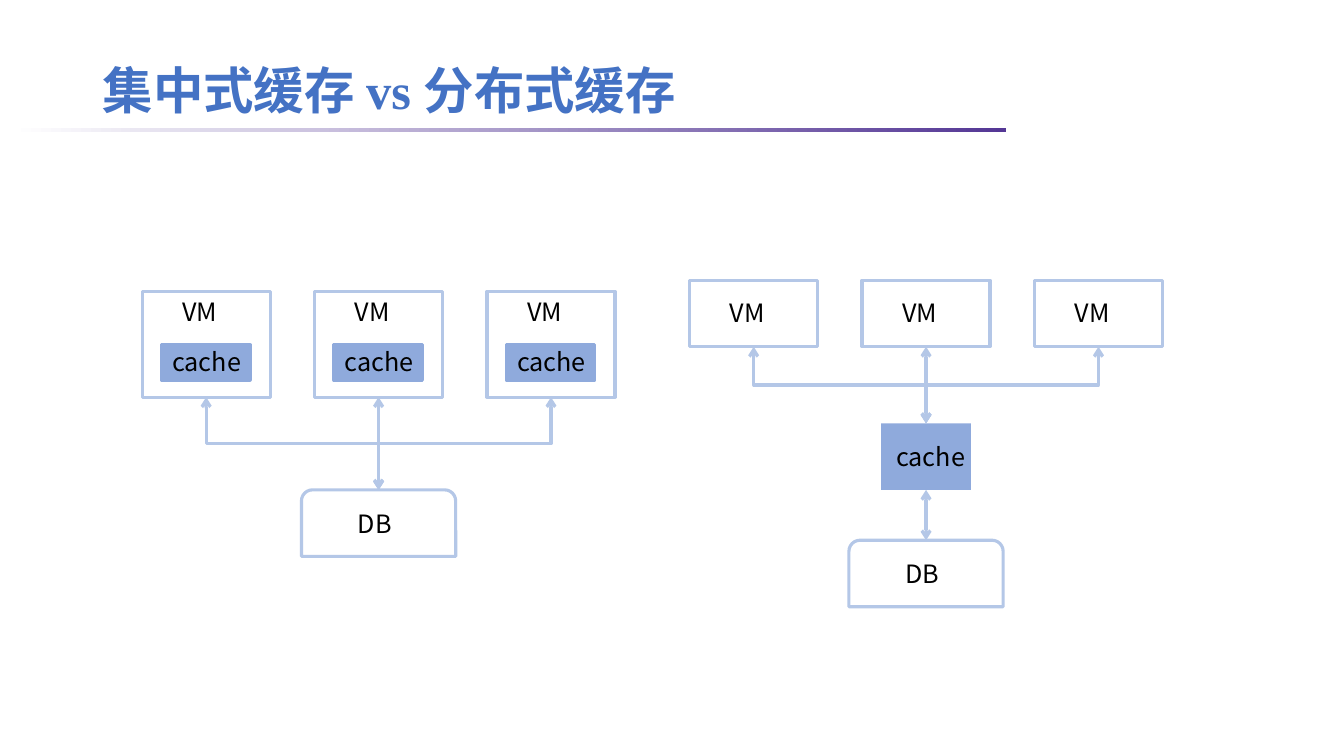
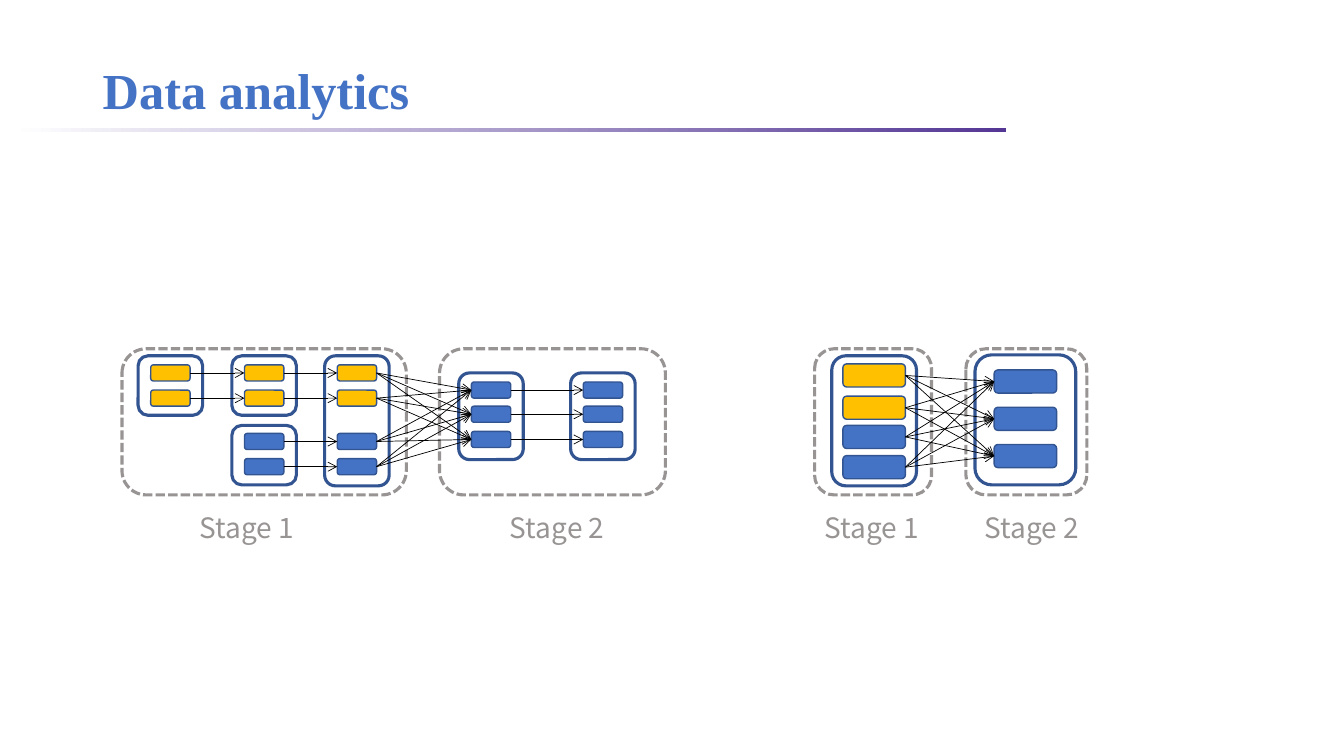
from dataclasses import dataclass
from itertools import chain, product

from lxml import etree
from pptx import Presentation
from pptx import util as u
from pptx.dml import color
from pptx.enum import dml, shapes, text
from pptx.oxml import ns

COLORS = {
    "title": "4472C4",
    "band_start": "FFFFFF",
    "band_end": "543795",
    "outline": "B4C7E7",
    "cache": "8FAADC",
    "stage": "989494",
    "group": "325491",
    "blue": "4472C4",
    "orange": "FFC000",
    "white": "FFFFFF",
    "black": "000000",
}
BODY_FONT = "Noto Sans CJK SC"
TITLE_FONT = "Times New Roman"
TOP, LEFT, BOTTOM, RIGHT = range(4)
SHAPE = shapes.MSO_SHAPE
VM_WIDTH, VM_PITCH = 1.27, 1.71
BOX_HEIGHT = 0.66


@dataclass
class Stage:
    name: str
    left: float
    width: float
    label_left: float


@dataclass
class Group:
    left: float
    top: float
    width: float
    height: float
    orange_tops: tuple[float, ...] = ()
    blue_tops: tuple[float, ...] = ()


def rgb(name: str) -> color.RGBColor:
    return color.RGBColor.from_string(COLORS[name])


def add_text(slide, content: str, left: float, top: float, width: float, height: float, *,
             size: float = 18, font: str = BODY_FONT, fill: str = "black",
             bold: bool = False, spacing: float = 1.0, anchor=text.MSO_ANCHOR.TOP):
    shape = slide.shapes.add_textbox(*map(u.Inches, (left, top, width, height)))
    frame = shape.text_frame
    frame.word_wrap = True
    frame.vertical_anchor = anchor
    paragraph = frame.paragraphs[0]
    paragraph.line_spacing = spacing
    run = paragraph.add_run()
    run.text = content
    run.font.size = u.Pt(size)
    run.font.name = font
    run.font.bold = bold
    run.font.color.rgb = rgb(fill)
    east_asian = etree.SubElement(run.font._element, ns.qn("a:ea"))
    east_asian.set("typeface", BODY_FONT)
    return shape


def add_box(slide, kind, left: float, top: float, width: float, height: float, *,
            fill: str | None = None, line: str | None = None,
            line_width: float = 2.25, dashed: bool = False):
    shape = slide.shapes.add_shape(kind, *map(u.Inches, (left, top, width, height)))
    shape.shadow.inherit = False
    if fill:
        shape.fill.solid()
        shape.fill.fore_color.rgb = rgb(fill)
    else:
        shape.fill.background()
    if line:
        shape.line.color.rgb = rgb(line)
        shape.line.width = u.Pt(line_width)
    else:
        shape.line.fill.background()
    if dashed:
        shape.line.dash_style = dml.MSO_LINE.SQUARE_DOT
    return shape


def style_connector(connector, line: str, width: float, ends: tuple[str, ...]) -> None:
    connector.line.color.rgb = rgb(line)
    connector.line.width = u.Pt(width)
    line_element = connector.line._get_or_add_ln()
    for end in ends:
        etree.SubElement(line_element, ns.qn(f"a:{end}")).set("type", "arrow")
    etree.SubElement(connector._element.spPr, ns.qn("a:effectLst"))


def add_task_arrow(slide, source, target) -> None:
    connector = slide.shapes.add_connector(shapes.MSO_CONNECTOR.STRAIGHT, 0, 0, 0, 0)
    connector.begin_connect(source, RIGHT)
    connector.end_connect(target, LEFT)
    style_connector(connector, "black", 0.5, ("tailEnd",))


def add_double_arrow(slide, upper, lower) -> None:
    """Join the bottom of one box to the top of another, with an elbow if they are offset."""
    begin_x = upper.left + upper.width // 2
    begin_y = upper.top + upper.height
    end_x = lower.left + lower.width // 2
    aligned = abs(end_x - begin_x) < u.Inches(0.01)
    kind = shapes.MSO_CONNECTOR.STRAIGHT if aligned else shapes.MSO_CONNECTOR.ELBOW
    connector = slide.shapes.add_connector(kind, begin_x, begin_y, end_x, lower.top)
    if aligned:
        connector.begin_connect(upper, BOTTOM)
        if lower.auto_shape_type == SHAPE.RECTANGLE:
            connector.end_connect(lower, TOP)
    else:
        # A quarter turn makes the elbow leave vertically.
        across, down = abs(end_x - begin_x), lower.top - begin_y
        connector.left = (begin_x + end_x - down) // 2
        connector.top = (begin_y + lower.top - across) // 2
        connector.width, connector.height = down, across
        transform = connector._element.spPr.find(ns.qn("a:xfrm"))
        transform.set("rot", "5400000")
        transform.set("flipH", "0")
        transform.set("flipV", "1" if begin_x < end_x else "0")
    style_connector(connector, "outline", 2.25, ("headEnd", "tailEnd"))


def add_titled_slide(presentation, title: str):
    slide = presentation.slides.add_slide(presentation.slide_layouts[6])
    band = add_box(slide, SHAPE.RECTANGLE, 0.11, 1.27, 9.87, 0.04)
    band.fill.gradient()
    band.fill.gradient_angle = 0
    for stop, name in zip(band.fill.gradient_stops, ("band_start", "band_end")):
        stop.color.rgb = rgb(name)
    add_text(slide, title, 0.92, 0.4, 11.5, 0.85, size=36, font=TITLE_FONT, fill="title",
             bold=True, spacing=1.2, anchor=text.MSO_ANCHOR.MIDDLE)
    return slide


def add_vms(slide, left: float, top: float, height: float, label_top: float,
            with_cache: bool = False) -> list:
    machines = []
    for index in range(3):
        x = left + index * VM_PITCH
        machines.append(add_box(slide, SHAPE.RECTANGLE, x, top, VM_WIDTH, height,
                                line="outline"))
        add_text(slide, "VM", x + 0.3, label_top, 0.68, 0.4)
        if with_cache:
            add_box(slide, SHAPE.RECTANGLE, x + 0.19, top + 0.53, 0.88, 0.35,
                    fill="cache", line="cache")
            add_text(slide, "cache", x + 0.2, top + 0.5, 0.97, 0.4)
    return machines


def add_database(slide, left: float, top: float):
    shape = add_box(slide, SHAPE.ROUND_2_SAME_RECTANGLE, left, top, 1.53, BOX_HEIGHT,
                    line="outline")
    add_text(slide, "DB", left + 0.46, top + 0.13, 0.6, 0.4)
    return shape


def add_stage(slide, stage: Stage) -> None:
    add_box(slide, SHAPE.ROUNDED_RECTANGLE, stage.left, 3.46, stage.width, 1.45,
            fill="white", line="stage", dashed=True)
    add_text(slide, stage.name, stage.label_left, 5.02, 1.23, 0.44, size=20, fill="stage")


def add_group(slide, group: Group, task_width: float, task_height: float) -> list:
    """Draw a group with its centred tasks and return the tasks from top to bottom."""
    add_box(slide, SHAPE.ROUNDED_RECTANGLE, group.left, group.top, group.width, group.height,
            fill="white", line="group")
    task_left = group.left + (group.width - task_width) / 2
    tasks = chain(product(group.orange_tops, ["orange"]), product(group.blue_tops, ["blue"]))
    return [add_box(slide, SHAPE.ROUNDED_RECTANGLE, task_left, top, task_width, task_height,
                    fill=fill, line="group", line_width=1) for top, fill in tasks]


def build_cache_slide(presentation) -> None:
    slide = add_titled_slide(presentation, "集中式缓存 vs 分布式缓存")

    machines = add_vms(slide, 1.41, 2.89, 1.05, 2.89, with_cache=True)
    database = add_database(slide, 2.99, 4.86)
    for machine in machines:
        add_double_arrow(slide, machine, database)

    machines = add_vms(slide, 6.84, 2.78, BOX_HEIGHT, 2.9)
    cache = add_box(slide, SHAPE.RECTANGLE, 8.74, 4.2, 0.89, BOX_HEIGHT, fill="cache")
    add_text(slide, "cache", 8.79, 4.33, 1.02, 0.4)
    database = add_database(slide, 8.42, 5.36)
    for machine in machines:
        add_double_arrow(slide, machine, cache)
    add_double_arrow(slide, cache, database)


def build_analytics_slide(presentation) -> None:
    slide = add_titled_slide(presentation, "Data analytics")
    for stage in (
        Stage("Stage 1", 1.21, 2.82, 1.88),
        Stage("Stage 2", 4.36, 2.24, 4.96),
        Stage("Stage 1", 8.08, 1.16, 8.08),
        Stage("Stage 2", 9.58, 1.2, 9.67),
    ):
        add_stage(slide, stage)

    upper, lower, final = (3.62, 3.87), (4.3, 4.55), (3.79, 4.03, 4.28)
    groups = (
        Group(1.37, 3.53, 0.64, 0.59, upper),
        Group(2.3, 3.53, 0.64, 0.59, upper),
        Group(2.3, 4.22, 0.64, 0.59, (), lower),
        Group(3.22, 3.53, 0.64, 1.29, upper, lower),
        Group(4.55, 3.7, 0.64, 0.86, (), final),
        Group(5.66, 3.7, 0.64, 0.86, (), final),
    )
    source, mapped, added, merged, shuffled, result = (
        add_group(slide, group, 0.39, 0.16) for group in groups)
    wide_groups = (
        Group(8.25, 3.53, 0.84, 1.29, (3.61, 3.93), (4.22, 4.52)),
        Group(9.67, 3.52, 1, 1.29, (), (3.67, 4.04, 4.41)),
    )
    wide_source, wide_result = (add_group(slide, group, 0.62, 0.23) for group in wide_groups)

    for begin, end in chain(
        zip(source, mapped),
        zip(mapped + added, merged),
        product(merged, shuffled),
        zip(shuffled, result),
        product(wide_source, wide_result),
    ):
        add_task_arrow(slide, begin, end)


def main() -> None:
    presentation = Presentation()
    presentation.slide_width = u.Inches(13.33)
    presentation.slide_height = u.Inches(7.5)
    build_cache_slide(presentation)
    build_analytics_slide(presentation)
    presentation.save("out.pptx")


if __name__ == "__main__":
    main()
